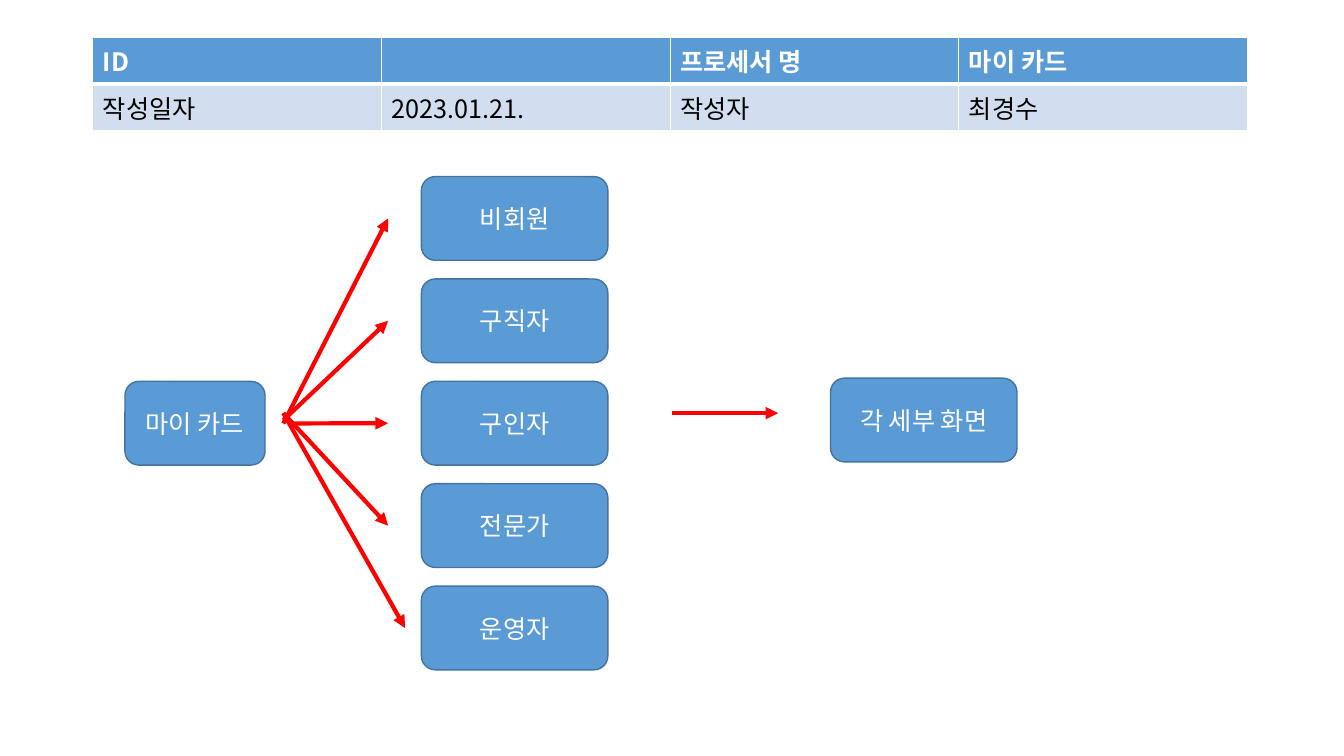
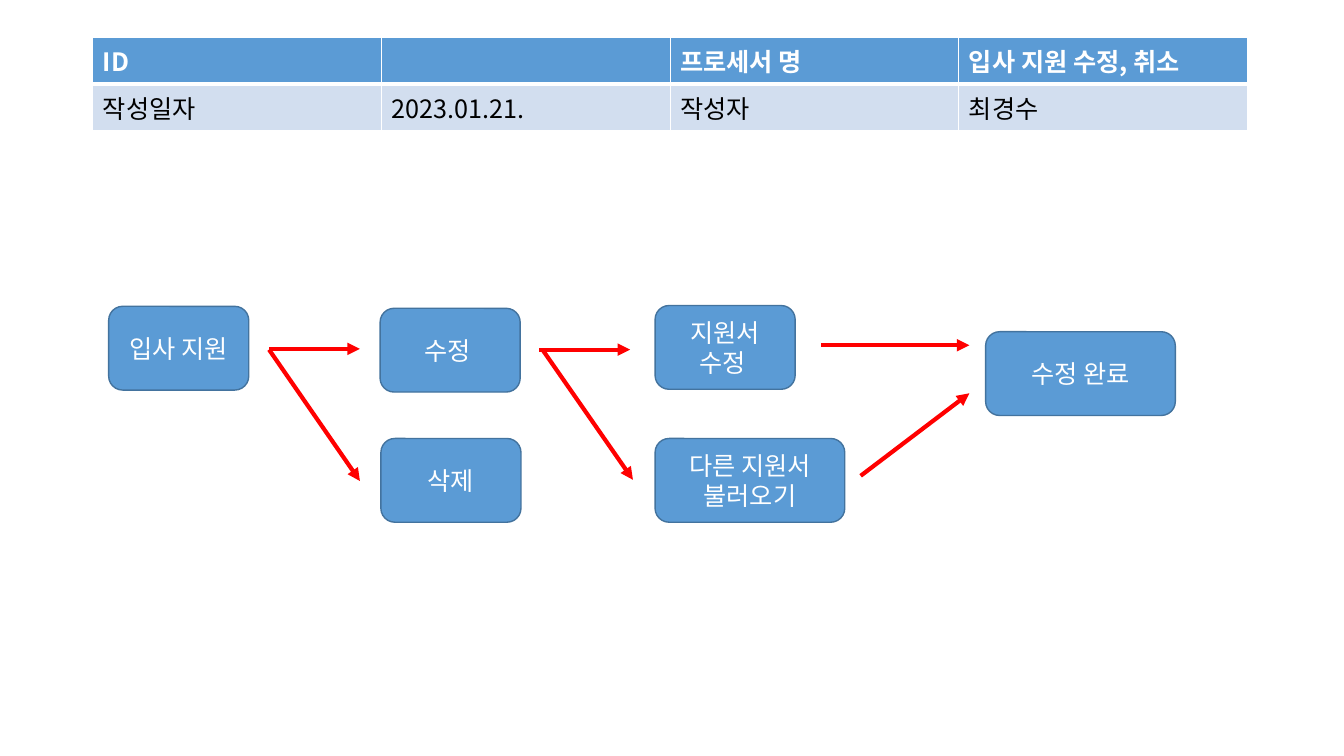
from lxml.etree import SubElement
from pptx import Presentation
from pptx.dml.color import RGBColor
from pptx.enum.shapes import MSO_CONNECTOR, MSO_SHAPE
from pptx.enum.text import MSO_ANCHOR, PP_ALIGN
from pptx.oxml.ns import qn
from pptx.util import Cm, Pt

BLUE = RGBColor(0x5B, 0x9B, 0xD5)
EDGE = RGBColor(0x43, 0x73, 0x9E)
PALE = RGBColor(0xD2, 0xDE, 0xEF)
RED = RGBColor(0xFF, 0x00, 0x00)
WHITE = RGBColor(0xFF, 0xFF, 0xFF)
BLACK = RGBColor(0x00, 0x00, 0x00)
FONT = "Noto Sans CJK KR"
BOX_H = 2.11
SMALL_W, OPTION_W, LARGE_W = 3.53, 4.7, 4.78


def add_run(p, text, color, bold=False):
    """Add one run in the shared font."""
    r = p.add_run()
    r.text = text
    r.font.size = Pt(18)
    r.font.bold = bold
    r.font.name = FONT
    r.font.color.rgb = color
    SubElement(r.font._element, qn("a:ea"), typeface=FONT)


def set_borders(cell, bottom):
    """Give a cell white borders, with its own bottom width in points."""
    tc_pr = cell._tc.get_or_add_tcPr()
    for side, width in (("L", 1), ("R", 1), ("T", 1), ("B", bottom)):
        ln = SubElement(tc_pr, qn(f"a:ln{side}"), w=str(Pt(width)))
        fill = SubElement(ln, qn("a:solidFill"))
        SubElement(fill, qn("a:srgbClr"), val=str(WHITE))


def add_header(s, left, top, width, name):
    """Place the document table that heads every slide."""
    rows = (("ID", "", "프로세서 명", name),
            ("작성일자", "2023.01.21.", "작성자", "최경수"))
    styles = ((BLUE, WHITE, True, 3), (PALE, BLACK, False, 1))
    table = s.shapes.add_table(2, 4, Cm(left), Cm(top), Cm(width), Cm(2.12)).table
    for i, (texts, (fill, color, bold, bottom)) in enumerate(zip(rows, styles)):
        for j, text in enumerate(texts):
            cell = table.cell(i, j)
            set_borders(cell, bottom)
            cell.fill.solid()
            cell.fill.fore_color.rgb = fill
            if text:
                add_run(cell.text_frame.paragraphs[0], text, color, bold)


def add_box(s, left, top, width, *lines):
    """Add a rounded box with one centred paragraph per line."""
    sp = s.shapes.add_shape(MSO_SHAPE.ROUNDED_RECTANGLE,
                            Cm(left), Cm(top), Cm(width), Cm(BOX_H))
    sp.shadow.inherit = False
    sp.fill.solid()
    sp.fill.fore_color.rgb = BLUE
    sp.line.color.rgb = EDGE
    sp.line.width = Pt(1)
    tf = sp.text_frame
    tf.word_wrap = True
    tf.vertical_anchor = MSO_ANCHOR.MIDDLE
    for i, line in enumerate(lines):
        p = tf.add_paragraph() if i else tf.paragraphs[0]
        p.alignment = PP_ALIGN.CENTER
        add_run(p, line, WHITE)


def add_arrow(s, x1, y1, x2, y2):
    """Add a red arrow that points at its second end."""
    cx = s.shapes.add_connector(MSO_CONNECTOR.STRAIGHT,
                                Cm(x1), Cm(y1), Cm(x2), Cm(y2))
    cx.line.color.rgb = RED
    cx.line.width = Pt(3)
    SubElement(cx.line._get_or_add_ln(), qn("a:tailEnd"), type="triangle")
    SubElement(cx._element.spPr, qn("a:effectLst"))


def add_card_flow(s, left, top):
    """Place the fan from the card to each kind of user and the detail screen."""
    pitch = 2.58
    users = (("비회원", 3.99, 6.22, 6.63), ("구직자", 3.99, 6.14, 6.63),
             ("구인자", 4.24, 6.22, 6.63), ("전문가", 3.99, 5.96, 6.63),
             ("운영자", 3.99, 5.96, 7.06))
    add_box(s, left, top + 2 * pitch, SMALL_W, "마이 카드")
    for i, (user, x1, y1, x2) in enumerate(users):
        y = top + i * pitch
        add_box(s, left + 7.47, y, OPTION_W, user)
        add_arrow(s, left + x1, top + y1, left + x2, y + BOX_H / 2)
    add_arrow(s, left + 13.79, top + 5.96, left + 16.46, top + 5.96)
    add_box(s, left + 17.78, top + 5.08, OPTION_W, "각 세부 화면")


def add_application_flow(s, left, top):
    """Place the steps that edit or delete a job application."""
    boxes = ((0, 0.02, SMALL_W, "입사 지원"),
             (6.84, 0.07, SMALL_W, "수정 "),
             (6.86, 3.35, SMALL_W, "삭제"),
             (13.77, 0, SMALL_W, "지원서", "수정 "),
             (13.77, 3.35, LARGE_W, "다른 지원서 불러오기"),
             (22.1, 0.66, LARGE_W, "수정 완료"))
    arrows = ((4.04, 1.09, 6.33, 1.09), (4.04, 1.11, 6.33, 4.42),
              (10.85, 1.11, 13.14, 1.11), (10.93, 1.11, 13.21, 4.39),
              (17.96, 1, 21.69, 1), (18.95, 4.29, 21.69, 2.21))
    for x, y, width, *lines in boxes:
        add_box(s, left + x, top + y, width, *lines)
    for x1, y1, x2, y2 in arrows:
        add_arrow(s, left + x1, top + y1, left + x2, top + y2)


def main():
    """Build and save the presentation."""
    prs = Presentation()
    prs.slide_width, prs.slide_height = Cm(33.87), Cm(19.05)
    slides = (("마이 카드", add_card_flow, 3.15, 4.45),
              ("입사 지원 수정, 취소", add_application_flow, 2.74, 7.7))
    for name, add_flow, left, top in slides:
        s = prs.slides.add_slide(prs.slide_layouts[6])
        add_header(s, 2.34, 0.94, 29.1, name)
        add_flow(s, left, top)
    prs.save("out.pptx")


if __name__ == "__main__":
    main()
